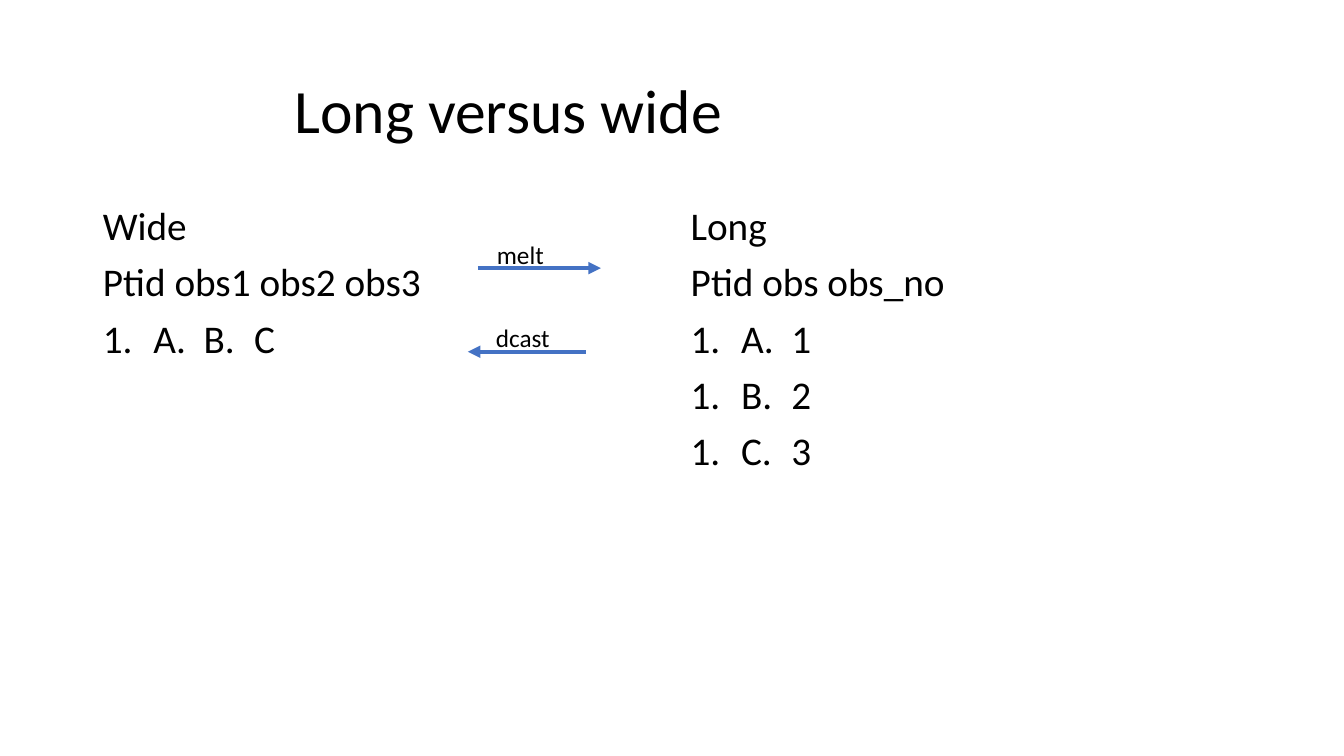
"""Build the slide that compares long and wide data layouts."""
import pptx
import pptx.util
import pptx.dml.color
import pptx.enum.shapes
import pptx.enum.text
import pptx.oxml
import pptx.oxml.ns
from pptx.util import Inches

TITLE = "Long versus wide"
FONT = "Calibri"
COLORS = {"text": "000000", "arrow": "4472C4"}
TITLE_BOX = (2.82, 0.4, 9.6, 1.45)
COLUMNS = [
    {"box": (0.92, 2, 3.38, 4.76), "tabs": (0.91, 1.85, 2.6),
     "lines": ["Wide", "Ptid obs1 obs2 obs3", "1.\tA.\tB.\tC"]},
    {"box": (6.75, 2, 5.67, 4.76), "tabs": (0.82, 1.75),
     "lines": ["Long", "Ptid obs obs_no", "1.\tA.\t1", "1.\tB.\t2", "1.\tC.\t3"]},
]
ARROWS = [
    {"label": "melt", "box": (4.83, 2.33, 0.67, 0.4), "x": (4.74, 5.96), "y": 2.66},
    {"label": "dcast", "box": (4.82, 3.15, 0.74, 0.4), "x": (5.81, 4.64), "y": 3.49},
]


def rgb(name):
    """Return a named colour."""
    return pptx.dml.color.RGBColor.from_string(COLORS[name])


def add_run(p, text, size):
    """Add a formatted run to a paragraph."""
    r = p.add_run()
    r.text = text
    r.font.name = FONT
    r.font.size = pptx.util.Pt(size)
    r.font.color.rgb = rgb("text")


def place(sp, box):
    """Move and size a shape."""
    sp.left, sp.top, sp.width, sp.height = map(Inches, box)


def add_xml(parent, tag, **attrs):
    """Append a DrawingML element."""
    child = pptx.oxml.parse_xml(f"<a:{tag} {pptx.oxml.ns.nsdecls('a')}/>")
    for key, value in attrs.items():
        child.set(key, str(value))
    parent.append(child)
    return child


def fill_title(sp):
    """Write the slide title."""
    place(sp, TITLE_BOX)
    tf = sp.text_frame
    tf.vertical_anchor = pptx.enum.text.MSO_ANCHOR.MIDDLE
    p = tf.paragraphs[0]
    p.alignment = pptx.enum.text.PP_ALIGN.LEFT
    p.line_spacing = 0.9
    add_run(p, TITLE, 44)


def fill_column(sp, column):
    """Write one data layout with its tab stops."""
    place(sp, column["box"])
    tf = sp.text_frame
    for i, line in enumerate(column["lines"]):
        p = tf.add_paragraph() if i else tf.paragraphs[0]
        p.line_spacing = 0.9
        p.space_before = pptx.util.Pt(10)
        props = p._p.get_or_add_pPr()
        props.set("marL", "0")
        props.set("indent", "0")
        add_xml(props, "buNone")
        if "\t" in line:
            stops = add_xml(props, "tabLst")
            for pos in column["tabs"]:
                add_xml(stops, "tab", pos=Inches(pos), algn="l")
        add_run(p, line, 28)


def add_arrow(s, arrow):
    """Draw a conversion arrow and its label."""
    start, end = map(Inches, arrow["x"])
    y = Inches(arrow["y"])
    line = s.shapes.add_connector(pptx.enum.shapes.MSO_CONNECTOR.STRAIGHT, start, y, end, y)
    line.line.color.rgb = rgb("arrow")
    line.line.width = pptx.util.Pt(3)
    add_xml(line.line._get_or_add_ln(), "tailEnd", type="triangle")
    add_xml(line._element.spPr, "effectLst")
    tf = s.shapes.add_textbox(*map(Inches, arrow["box"])).text_frame
    tf.word_wrap = False
    tf.auto_size = pptx.enum.text.MSO_AUTO_SIZE.SHAPE_TO_FIT_TEXT
    add_run(tf.paragraphs[0], arrow["label"], 18)


def main():
    """Assemble and save the presentation."""
    prs = pptx.Presentation()
    prs.slide_width, prs.slide_height = Inches(13.33), Inches(7.5)
    s = prs.slides.add_slide(prs.slide_layouts.get_by_name("Two Content"))
    fill_title(s.shapes.title)
    for idx, column in enumerate(COLUMNS, 1):
        fill_column(s.placeholders[idx], column)
    for arrow in ARROWS:
        add_arrow(s, arrow)
    prs.save("out.pptx")


if __name__ == "__main__":
    main()
